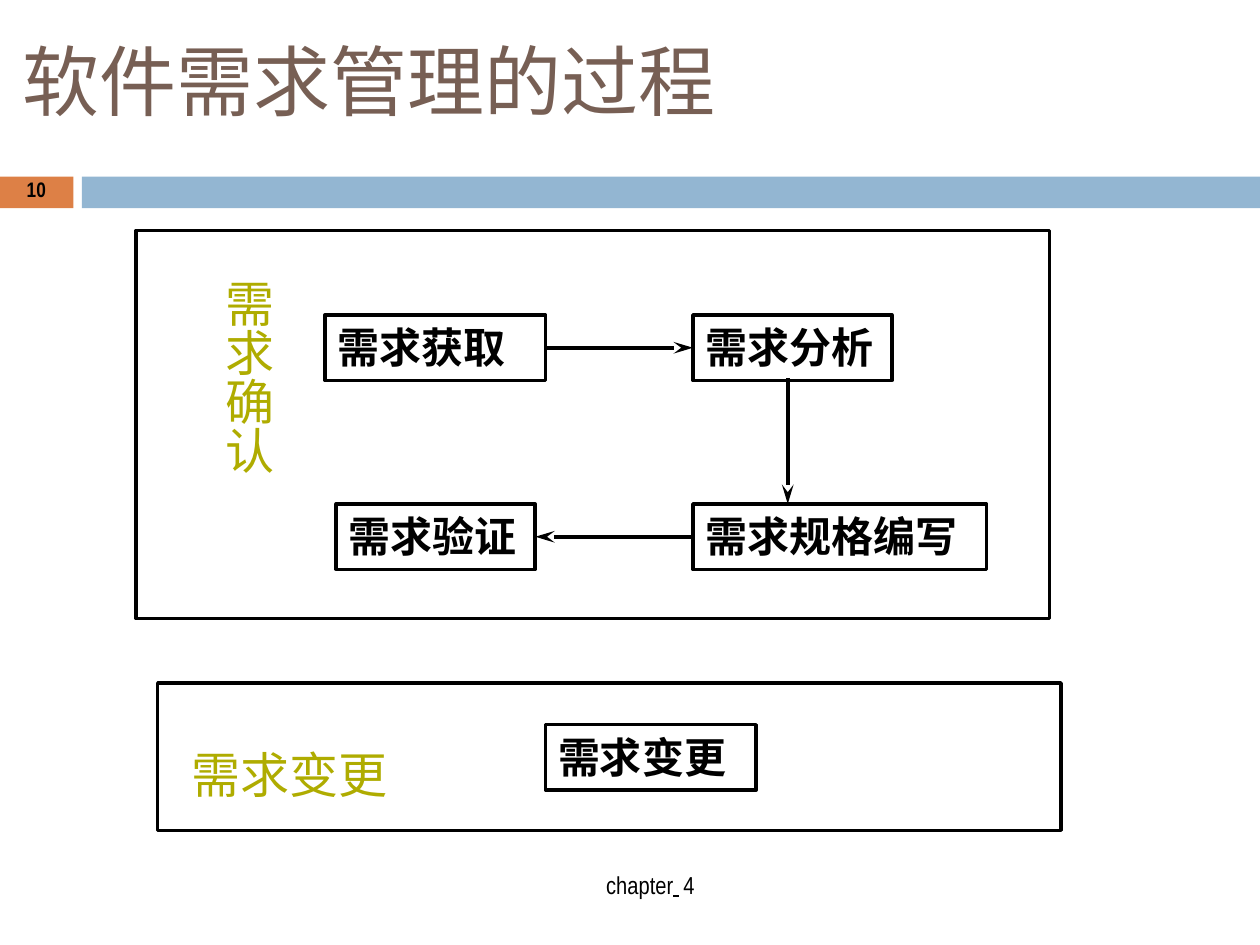
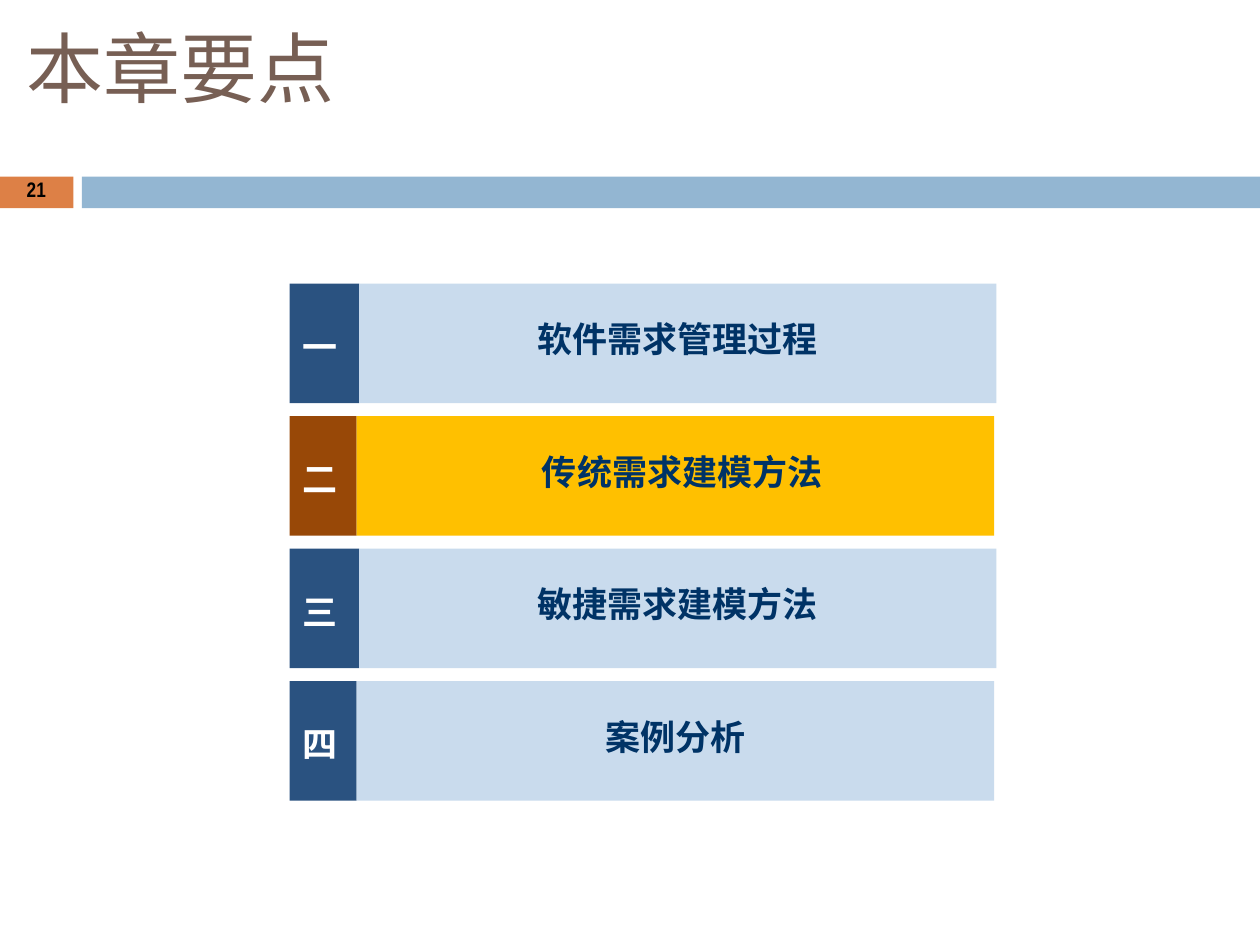
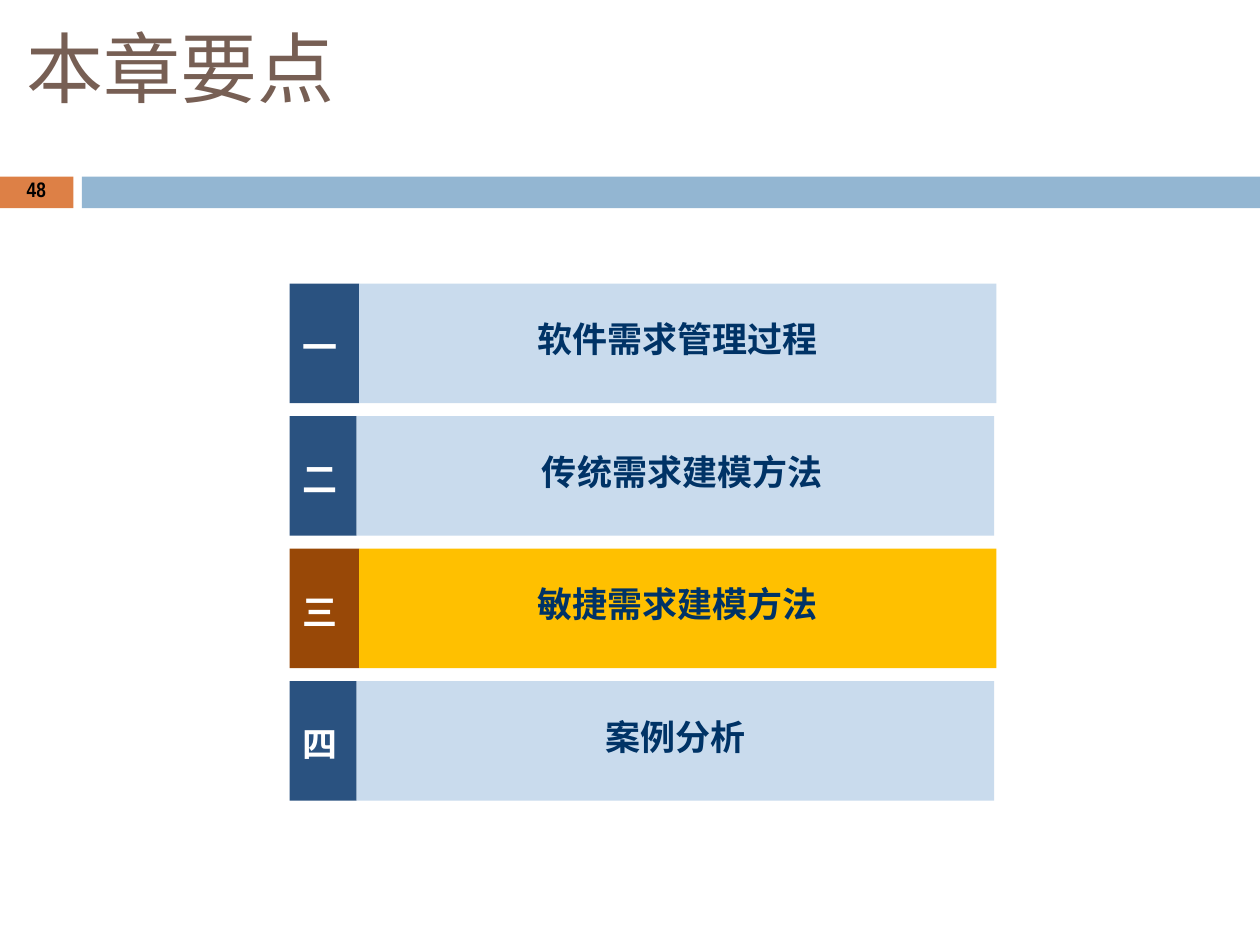
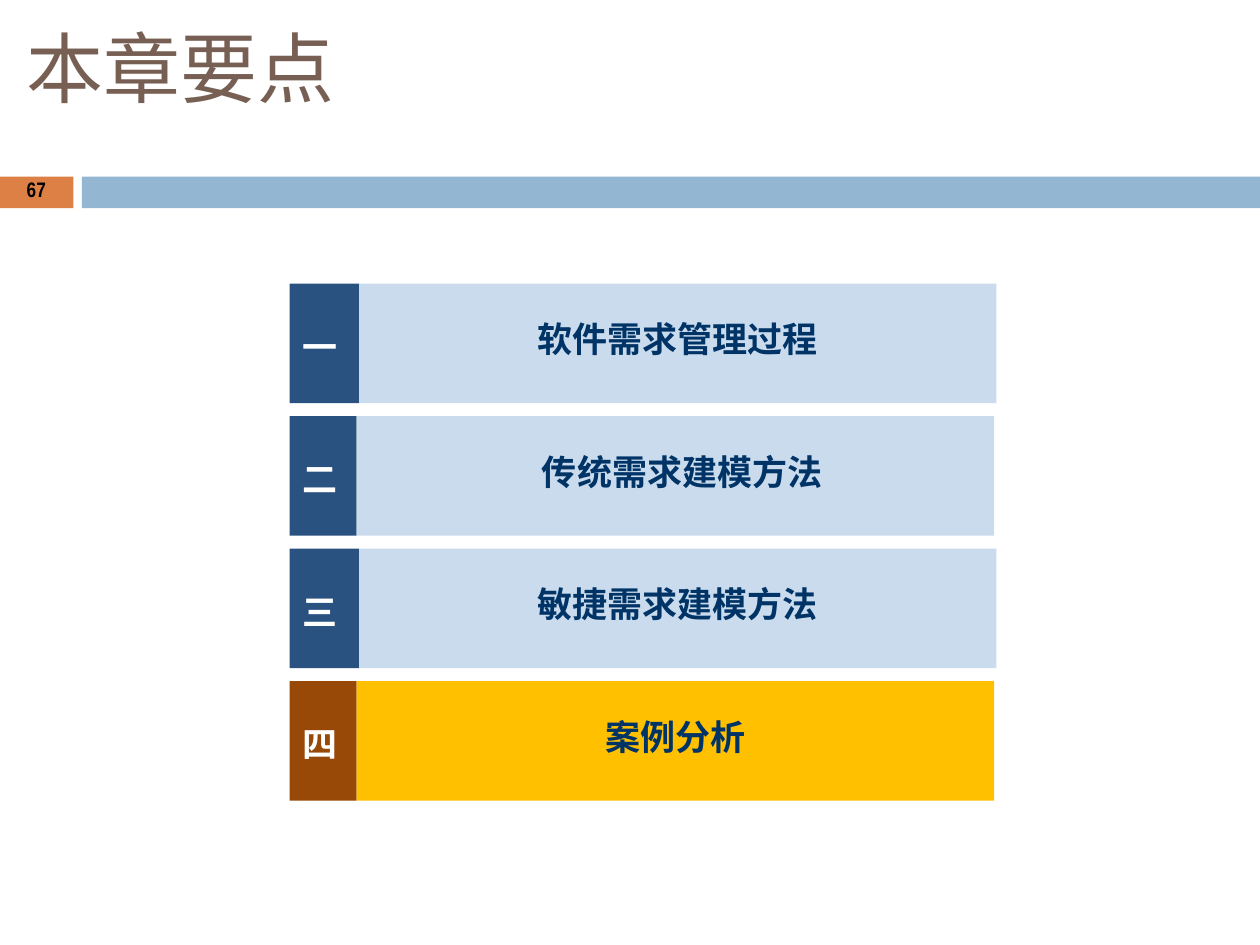
from lxml import etree
from pptx import Presentation
from pptx.dml.color import RGBColor
from pptx.enum.shapes import MSO_CONNECTOR, MSO_SHAPE
from pptx.enum.text import MSO_ANCHOR, PP_ALIGN
from pptx.oxml.ns import qn
from pptx.util import Cm, Pt

RECTANGLE = MSO_SHAPE.RECTANGLE
STRAIGHT = MSO_CONNECTOR.STRAIGHT
TOP = MSO_ANCHOR.TOP
LEFT = PP_ALIGN.LEFT
CENTER = PP_ALIGN.CENTER

# Colours and fonts
BLACK = RGBColor(0x00, 0x00, 0x00)
WHITE = RGBColor(0xFF, 0xFF, 0xFF)
BROWN = RGBColor(0x77, 0x5F, 0x54)
ORANGE = RGBColor(0xDD, 0x80, 0x46)
SKY_BLUE = RGBColor(0x93, 0xB6, 0xD2)
OLIVE = RGBColor(0xAF, 0xAC, 0x00)
NAVY = RGBColor(0x00, 0x33, 0x66)
DARK_BLUE = RGBColor(0x2A, 0x52, 0x80)
PALE_BLUE = RGBColor(0xC9, 0xDB, 0xED)
RUST = RGBColor(0x98, 0x48, 0x07)
GOLD = RGBColor(0xFF, 0xC0, 0x00)
CHINESE_FONT = "Noto Sans CJK SC"
LATIN_FONT = "Arial Narrow"

# Agenda grid, in cm
AGENDA_LEFT, AGENDA_TOP = 5.84, 5.72
ROW_HEIGHT, ROW_PITCH = 2.41, 2.67
NUMBER_WIDTHS = (1.4, 1.35)
LABEL_WIDTH = 12.85
# Number, label, left inset of the label
AGENDA = [
    ("一", "软件需求管理过程", 0),
    ("二", "传统需求建模方法", 0.28),
    ("三", "敏捷需求建模方法", 0),
    ("四", "案例分析", 0),
]

STEP_HEIGHT = 1.32


def prepare_frame(shape, left=0, top=0, right=0, align=LEFT):
    """Set the insets in cm and return the first paragraph."""
    frame = shape.text_frame
    frame.word_wrap = True
    frame.vertical_anchor = TOP
    frame.margin_left, frame.margin_top = Cm(left), Cm(top)
    frame.margin_right, frame.margin_bottom = Cm(right), Cm(0)
    paragraph = frame.paragraphs[0]
    paragraph.alignment = align
    return paragraph


def add_run(paragraph, text, size, color, font=CHINESE_FONT, bold=False):
    run = paragraph.add_run()
    run.text = text
    run.font.name = font
    run.font.size = Pt(size)
    run.font.bold = bold
    run.font.color.rgb = color
    return run


def add_text_box(slide, left, top, width, height):
    box = slide.shapes.add_textbox(Cm(left), Cm(top), Cm(width), Cm(height))
    return prepare_frame(box, left=0.03, top=0.03)


def add_rectangle(slide, left, top, width, height, fill=None):
    """Draw a plain filled block, or a black outline when no fill is given."""
    shape = slide.shapes.add_shape(RECTANGLE, Cm(left), Cm(top), Cm(width), Cm(height))
    shape.shadow.inherit = False
    if fill is None:
        shape.fill.background()
        shape.line.color.rgb = BLACK
        shape.line.width = Pt(2.04)
    else:
        shape.fill.solid()
        shape.fill.fore_color.rgb = fill
        shape.line.fill.background()
    return shape


def add_step(slide, text, left, top, width):
    shape = add_rectangle(slide, left, top, width, STEP_HEIGHT)
    paragraph = prepare_frame(shape, left=0.25, top=0.13)
    add_run(paragraph, text, 24, BLACK, bold=True)
    return shape


def add_arrow(slide, start_x, start_y, end_x, end_y):
    arrow = slide.shapes.add_connector(
        STRAIGHT, Cm(start_x), Cm(start_y), Cm(end_x), Cm(end_y))
    arrow.line.color.rgb = BLACK
    arrow.line.width = Pt(2.25)
    line = arrow.line._get_or_add_ln()
    etree.SubElement(line, qn("a:tailEnd"), type="stealth", w="med", len="lg")
    etree.SubElement(arrow._element.spPr, qn("a:effectLst"))
    return arrow


def join_steps(slide, source, source_side, target, target_side):
    arrow = add_arrow(slide, 0, 0, 1, 1)
    arrow.begin_connect(source, source_side)
    arrow.end_connect(target, target_side)


def add_page(presentation, title, number, left, top, width):
    """Add a slide with the shared bands, title and page number."""
    slide = presentation.slides.add_slide(presentation.slide_layouts[6])
    add_rectangle(slide, 0, 3.56, 1.48, 0.64, ORANGE)
    add_rectangle(slide, 1.65, 3.56, 23.75, 0.64, SKY_BLUE)
    add_run(add_text_box(slide, left, top, width, 1.93), title, 44, BROWN)
    paragraph = add_text_box(slide, 0.51, 3.53, 0.46, 0.58)
    add_run(paragraph, str(number), 12, BLACK, LATIN_FONT, bold=True)
    return slide


def add_footer(slide):
    paragraph = add_text_box(slide, 12.19, 17.5, 2.08, 0.66)
    add_run(paragraph, "chapter", 14, BLACK, LATIN_FONT)
    gap = add_run(paragraph, " ", 14, BLACK, LATIN_FONT)
    gap.font.underline = True
    gap._r.get_or_add_rPr().set("spc", "250")
    add_run(paragraph, "4", 14, BLACK, LATIN_FONT)


def add_process_page(presentation):
    slide = add_page(presentation, "软件需求管理的过程", 10, 0.43, 0.64, 14.05)
    add_footer(slide)

    # Two stages; the first label wraps to one character a line
    confirmation = add_rectangle(slide, 2.74, 4.65, 18.42, 7.82)
    paragraph = prepare_frame(confirmation, left=1.8, top=1.07, right=15.42)
    paragraph.line_spacing = Pt(28)
    add_run(paragraph, "需 求 确 认", 28, OLIVE)
    change = add_rectangle(slide, 3.18, 13.77, 18.21, 2.97)
    paragraph = prepare_frame(change, left=0.69, top=1.23)
    add_run(paragraph, "需求变更", 28, OLIVE)

    # Steps and the flow between them
    elicitation = add_step(slide, "需求获取", 6.55, 6.35, 4.45)
    analysis = add_step(slide, "需求分析", 13.97, 6.35, 4.01)
    specification = add_step(slide, "需求规格编写", 13.97, 10.16, 5.92)
    verification = add_step(slide, "需求验证", 6.78, 10.16, 4.01)
    add_step(slide, "需求变更", 11, 14.61, 4.24)
    join_steps(slide, elicitation, 3, analysis, 1)
    add_arrow(slide, 15.88, 7.62, 15.88, 10.16)
    join_steps(slide, specification, 1, verification, 3)


def add_agenda_page(presentation, number, current):
    """List the chapter's sections with the current one highlighted."""
    slide = add_page(presentation, "本章要点", number, 0.51, 0.38, 6.3)
    for index, (numeral, label, inset) in enumerate(AGENDA):
        top = AGENDA_TOP + index * ROW_PITCH
        number_width = NUMBER_WIDTHS[index % 2]
        number_fill, label_fill = (
            (RUST, GOLD) if numeral == current else (DARK_BLUE, PALE_BLUE))
        block = add_rectangle(
            slide, AGENDA_LEFT, top, number_width, ROW_HEIGHT, number_fill)
        paragraph = prepare_frame(block, left=0.25, top=0.84)
        add_run(paragraph, numeral, 20, WHITE, bold=True)
        block = add_rectangle(
            slide, AGENDA_LEFT + number_width, top, LABEL_WIDTH, ROW_HEIGHT, label_fill)
        paragraph = prepare_frame(block, left=inset, top=0.69, align=CENTER)
        add_run(paragraph, label, 20, NAVY, bold=True)


def main():
    presentation = Presentation()
    presentation.slide_width = Cm(25.4)
    presentation.slide_height = Cm(19.05)
    add_process_page(presentation)
    for number, current in ((21, "二"), (48, "三"), (67, "四")):
        add_agenda_page(presentation, number, current)
    presentation.save("out.pptx")


if __name__ == "__main__":
    main()
